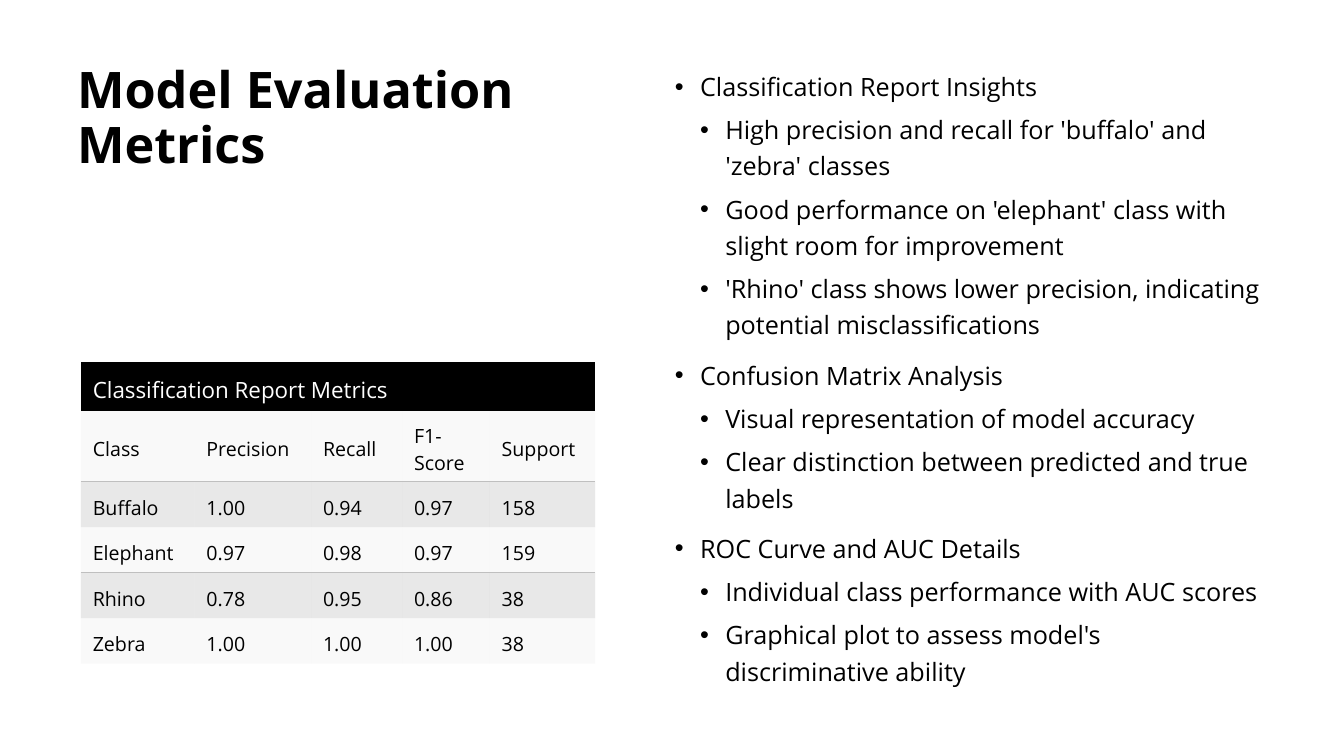
import pptx
import pptx.dml.color
import pptx.enum.text
import pptx.oxml
import pptx.oxml.ns
import pptx.util

Pt = pptx.util.Pt
FONT = "Open Sans"
BLACK, WHITE, GREY, PALE = "000000", "FFFFFF", "BFBFBF", "F2F2F2"

INSIGHTS = [
    ("Classification Report Insights", [
        "High precision and recall for 'buffalo' and 'zebra' classes",
        "Good performance on 'elephant' class with slight room for improvement",
        "'Rhino' class shows lower precision, indicating potential misclassifications",
    ]),
    ("Confusion Matrix Analysis", [
        "Visual representation of model accuracy",
        "Clear distinction between predicted and true labels",
    ]),
    ("ROC Curve and AUC Details", [
        "Individual class performance with AUC scores",
        "Graphical plot to assess model's discriminative ability",
    ]),
]

METRICS = [
    ["Classification Report Metrics", "", "", "", ""],
    ["Class", "Precision", "Recall", "F1-Score", "Support"],
    ["Buffalo", "1.00", "0.94", "0.97", "158"],
    ["Elephant", "0.97", "0.98", "0.97", "159"],
    ["Rhino", "0.78", "0.95", "0.86", "38"],
    ["Zebra", "1.00", "1.00", "1.00", "38"],
]
COLUMN_WIDTHS = [81.2, 83.3, 65, 62.6, 75.2]
ROW_HEIGHTS = [35.1, 50.5, 32.5, 32.5, 32.5, 32.5]


def color(value):
    return pptx.dml.color.RGBColor.from_string(value)


def set_attributes(target, values):
    for name, value in values.items():
        setattr(target, name, value)


def write(paragraph, text, size, font_color=BLACK, bold=False):
    run = paragraph.add_run()
    run.text = text
    set_attributes(run.font, {"name": FONT, "size": Pt(size), "bold": bold})
    run.font.color.rgb = color(font_color)


def add_text_box(slide, left, top, width, height):
    shape = slide.shapes.add_textbox(Pt(left), Pt(top), Pt(width), Pt(height))
    set_attributes(shape.text_frame, {
        "word_wrap": True,
        "vertical_anchor": pptx.enum.text.MSO_ANCHOR.TOP,
    })
    return shape.text_frame


def add_bullet(paragraph, text, level):
    set_attributes(paragraph, {
        "level": level,
        "line_spacing": 1.2,
        "space_before": Pt(5 if level else 10),
    })
    properties = paragraph._p.get_or_add_pPr()
    properties.set("marL", str(Pt(18 * (level + 1))))
    properties.set("indent", str(Pt(-18)))
    namespace = pptx.oxml.ns.nsdecls("a")
    for markup in (f'<a:buFont {namespace} typeface="Arial"/>',
                   f'<a:buChar {namespace} char="•"/>'):
        properties.append(pptx.oxml.parse_xml(markup))
    write(paragraph, text, 18)


def set_borders(cell, ruled_sides):
    namespace = pptx.oxml.ns.nsdecls("a")
    for side in "LRTB":
        if side in ruled_sides:
            fill = f'<a:solidFill><a:srgbClr val="{GREY}"/></a:solidFill>'
        else:
            fill = "<a:noFill/>"
        cell._tc.get_or_add_tcPr().append(pptx.oxml.parse_xml(
            f'<a:ln{side} {namespace} w="{Pt(1)}">{fill}</a:ln{side}>'))


def fill_cell(cell, fill_color, opacity):
    cell.fill.solid()
    cell.fill.fore_color.rgb = color(fill_color)
    if opacity < 100:
        tag = pptx.oxml.ns.qn("a:solidFill")
        namespace = pptx.oxml.ns.nsdecls("a")
        cell._tc.tcPr.find(tag)[0].append(pptx.oxml.parse_xml(
            f'<a:alpha {namespace} val="{opacity * 1000}"/>'))


def row_style(row):
    """Return fill, opacity, ruled sides, text size and text colour."""
    if row == 0:
        return BLACK, 100, "", 16, WHITE
    if row % 2 == 0:
        return GREY, 35, "T", 14, BLACK
    return PALE, 45, "" if row == len(METRICS) - 1 else "B", 14, BLACK


def add_metrics_table(slide, left, top):
    table = slide.shapes.add_table(
        len(METRICS), len(COLUMN_WIDTHS), Pt(left), Pt(top),
        Pt(sum(COLUMN_WIDTHS)), Pt(sum(ROW_HEIGHTS))).table
    set_attributes(table, {"first_row": False, "horz_banding": False})
    for column, width in zip(table.columns, COLUMN_WIDTHS):
        column.width = Pt(width)
    for row, height in zip(table.rows, ROW_HEIGHTS):
        row.height = Pt(height)
    table.cell(0, 0).merge(table.cell(0, len(COLUMN_WIDTHS) - 1))

    for row, values in enumerate(METRICS):
        fill_color, opacity, ruled_sides, size, font_color = row_style(row)
        for column, text in enumerate(values):
            cell = table.cell(row, column)
            set_attributes(cell, {
                "margin_left": Pt(8.5), "margin_right": Pt(8.5),
                "margin_top": Pt(8.5), "margin_bottom": Pt(4.25),
                "vertical_anchor": pptx.enum.text.MSO_ANCHOR.MIDDLE,
            })
            set_borders(cell, ruled_sides)
            fill_cell(cell, fill_color, opacity)
            if text:
                write(cell.text_frame.paragraphs[0], text, size, font_color)


def main():
    presentation = pptx.Presentation()
    set_attributes(presentation, {"slide_width": Pt(960), "slide_height": Pt(540)})
    slide = presentation.slides.add_slide(presentation.slide_layouts[6])

    # Title
    title = add_text_box(slide, 48, 43, 376.5, 163).paragraphs[0]
    title.line_spacing = 0.9
    write(title, "Model Evaluation Metrics", 36, bold=True)

    # Bulleted insights
    frame = add_text_box(slide, 475, 43, 437, 453.5)
    bullets = [(text, level) for heading, details in INSIGHTS
               for text, level in [(heading, 0)] + [(detail, 1) for detail in details]]
    for index, (text, level) in enumerate(bullets):
        paragraph = frame.add_paragraph() if index else frame.paragraphs[0]
        add_bullet(paragraph, text, level)

    # Classification report table
    add_metrics_table(slide, 57.8, 258.5)

    presentation.save("out.pptx")


if __name__ == "__main__":
    main()
